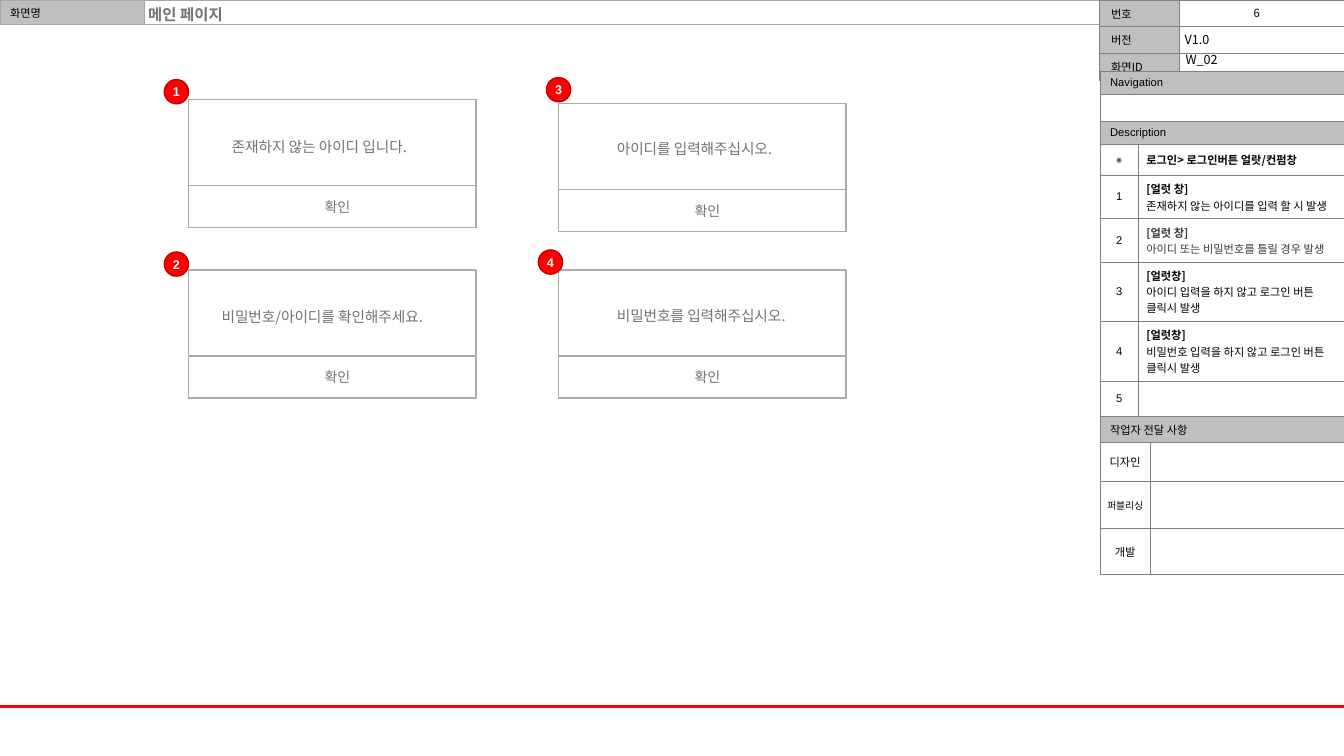
import pptx
import pptx.dml.color
import pptx.enum.shapes
import pptx.enum.text
import pptx.oxml
import pptx.oxml.ns
import pptx.util
from lxml import etree
from pptx.util import Inches

KOREAN = "Noto Sans CJK KR"
LATIN = "Arial"
GRAY, WHITE, BLACK = "BFBFBF", "FFFFFF", "000000"
BORDER, MUTED, DARK = "808080", "767171", "3B3838"
CENTER = pptx.enum.text.PP_ALIGN.CENTER
LEFT = pptx.enum.text.PP_ALIGN.LEFT
MIDDLE = pptx.enum.text.MSO_ANCHOR.MIDDLE
TOP = pptx.enum.text.MSO_ANCHOR.TOP


def color(value):
    """Turn a hex string into a colour."""
    return pptx.dml.color.RGBColor.from_string(value)


def add_child(parent, tag, **attributes):
    """Append a DrawingML element to a parent."""
    return etree.SubElement(parent, pptx.oxml.ns.qn(tag), attributes)


def style(paragraph, size, name=KOREAN, ink=BLACK, bold=False, align=LEFT):
    """Set the alignment and font of a paragraph."""
    paragraph.alignment = align
    font = paragraph.font
    font.size, font.name, font.bold = pptx.util.Pt(size), name, bold
    font.color.rgb = color(ink)


def set_insets(holder, left, top, right, bottom):
    """Set the four margins of a text frame or a cell."""
    holder.margin_left, holder.margin_right = Inches(left), Inches(right)
    holder.margin_top, holder.margin_bottom = Inches(top), Inches(bottom)


def place(shape, left, top, width, height):
    """Move and size a shape."""
    shape.left, shape.top = Inches(left), Inches(top)
    shape.width, shape.height = Inches(width), Inches(height)


def add_title(slide, text):
    """Fill the title placeholder in the header bar."""
    title = slide.shapes.title
    place(title, 1.37, 0, 1.03, 0.29)
    frame = title.text_frame
    frame.text = text
    frame.word_wrap = False
    frame.vertical_anchor = MIDDLE
    set_insets(frame, 0.1, 0.05, 0.1, 0.05)
    style(frame.paragraphs[0], 11, ink=MUTED, bold=True)


def add_label(slide, text, box, size, ink=BLACK, align=LEFT):
    """Add a one-line text box."""
    shape = slide.shapes.add_textbox(*map(Inches, box))
    frame = shape.text_frame
    frame.text = text
    frame.word_wrap = False
    frame.vertical_anchor = MIDDLE if align == CENTER else TOP
    style(frame.paragraphs[0], size, ink=ink, align=align)


def add_box(slide, kind, box, fill, line):
    """Add a preset shape without shadow."""
    shape = slide.shapes.add_shape(kind, *map(Inches, box))
    shape.shadow.inherit = False
    if fill:
        shape.fill.solid()
        shape.fill.fore_color.rgb = color(fill)
    else:
        shape.fill.background()
    shape.line.color.rgb = color(line)
    shape.line.width = pptx.util.Pt(1)
    shape.text_frame.vertical_anchor = MIDDLE
    return shape


def add_dialog(slide, left, top, message, message_box):
    """Add an alert dialog with its message and confirm button."""
    rectangle = pptx.enum.shapes.MSO_SHAPE.RECTANGLE
    add_box(slide, rectangle, (left, top, 2.85, 1.27), WHITE, "AFABAB")
    button = add_box(slide, rectangle, (left, top + 0.85, 2.85, 0.42), None, "AFABAB")
    button.text_frame.text = "확인"
    set_insets(button.text_frame, 0.2, 0.05, 0.1, 0.05)
    style(button.text_frame.paragraphs[0], 10, LATIN, MUTED, align=CENTER)
    add_label(slide, message, message_box, 10.5, MUTED)


def add_badge(slide, number, left, top):
    """Add a numbered red circle."""
    oval = pptx.enum.shapes.MSO_SHAPE.OVAL
    badge = add_box(slide, oval, (left, top, 0.24, 0.24), "FF0000", "C00000")
    badge.text_frame.text = str(number)
    set_insets(badge.text_frame, 0, 0, 0, 0)
    style(badge.text_frame.paragraphs[0], 9, LATIN, WHITE, True, CENTER)


def add_footer_line(slide):
    """Draw the red line across the foot of the slide."""
    line = slide.shapes.add_connector(
        pptx.enum.shapes.MSO_CONNECTOR.STRAIGHT, 0, Inches(7.01), Inches(13.33), Inches(7.01))
    line.line.color.rgb = color("FF0000")
    line.line.width = pptx.util.Pt(2)
    add_child(line.element.spPr, "a:effectLst")


def add_borders(cell, ink, width):
    """Draw the four borders of a cell."""
    properties = cell._tc.get_or_add_tcPr()
    for position, tag in enumerate(("a:lnL", "a:lnR", "a:lnT", "a:lnB")):
        border = add_child(properties, tag, w=str(pptx.util.Pt(width)))
        add_child(add_child(border, "a:solidFill"), "a:srgbClr", val=ink)
        properties.insert(position, border)


def add_grid(slide, left, top, columns, rows, ink, width):
    """Add a table whose cells are empty, bordered and unfilled."""
    frame = slide.shapes.add_table(
        len(rows), len(columns), Inches(left), Inches(top),
        Inches(sum(columns)), Inches(sum(rows)))
    table = frame.table
    table.first_row = table.horz_banding = False
    for column, size in zip(table.columns, columns):
        column.width = Inches(size)
    for row, size in zip(table.rows, rows):
        row.height = Inches(size)
    for cell in table.iter_cells():
        cell.fill.background()
        set_insets(cell, 0, 0, 0, 0)
        add_child(cell.text_frame.paragraphs[0]._p, "a:endParaRPr", sz="800")
        add_borders(cell, ink, width)
    return table


def fill_cell(cell, text, inset, fill=None, size=8, name=KOREAN, ink=BLACK,
              bold=False, align=LEFT, anchor=MIDDLE):
    """Write and format the text of a cell."""
    cell.text = text
    cell.vertical_anchor = anchor
    set_insets(cell, inset, 0.04, inset, 0.04)
    if fill:
        cell.fill.solid()
        cell.fill.fore_color.rgb = color(fill)
    for paragraph in cell.text_frame.paragraphs:
        style(paragraph, size, name, ink, bold, align)


def add_page_tables(slide):
    """Add the screen name bar and the page number and version table."""
    header = add_grid(slide, 0, 0, [1.43, 9.47], [0.24], "A6A6A6", 0.5)
    fill_cell(header.cell(0, 0), "화면명", 0.1, GRAY)
    info = add_grid(slide, 10.9, 0, [0.8, 1.63], [0.26, 0.27, 0.27], BORDER, 0.5)
    for row, text in enumerate(("번호", "버전", "화면ID")):
        fill_cell(info.cell(row, 0), text, 0.12, GRAY)
    fill_cell(info.cell(1, 1), "V1.0", 0.05, size=9, anchor=TOP)
    add_label(slide, "6", (12.1, 0.03, 0.73, 0.19), 8, align=CENTER)


def add_description_table(slide):
    """Add the navigation, description and handover table."""
    heights = [0.22, 0.27, 0.23, 0.31, 0.43, 0.43, 0.59, 0.59, 0.35, 0.26, 0.39, 0.46, 0.46]
    table = add_grid(slide, 10.91, 0.71, [0.38, 0.12, 1.92], heights, BORDER, 0.25)
    table.cell(1, 0).merge(table.cell(1, 2))
    for row, text, name in ((0, "Navigation", LATIN), (2, "Description", LATIN),
                            (9, "작업자 전달 사항", KOREAN)):
        table.cell(row, 0).merge(table.cell(row, 2))
        fill_cell(table.cell(row, 0), text, 0.1, GRAY, name=name)
    notes = [
        ("※", "로그인> 로그인버튼 얼랏/컨펌창", "", BLACK),
        ("1", "[얼럿 창]", "존재하지 않는 아이디를 입력 할 시 발생", BLACK),
        ("2", "[얼럿 창]", "아이디 또는 비밀번호를 틀릴 경우 발생", DARK),
        ("3", "[얼럿창]", "아이디 입력을 하지 않고 로그인 버튼 클릭시 발생", BLACK),
        ("4", "[얼럿창]", "비밀번호 입력을 하지 않고 로그인 버튼 클릭시 발생", BLACK),
        ("5", "", "", BLACK),
    ]
    for row, (mark, heading, detail, ink) in enumerate(notes, start=3):
        fill_cell(table.cell(row, 0), mark, 0.04, WHITE, name=LATIN, align=CENTER)
        note = table.cell(row, 1)
        note.merge(table.cell(row, 2))
        if heading:
            fill_cell(note, heading, 0.08, WHITE, ink=ink, bold=True)
        if detail:
            paragraph = note.text_frame.add_paragraph()
            paragraph.text = detail
            style(paragraph, 8, ink=ink)
    for row, (text, size) in enumerate((("디자인", 8), ("퍼블리싱", 7), ("개발", 8)), start=10):
        table.cell(row, 0).merge(table.cell(row, 1))
        fill_cell(table.cell(row, 0), text, 0.04, WHITE, size=size, align=CENTER)


def main():
    """Build the login alert screen specification."""
    presentation = pptx.Presentation()
    presentation.slide_width, presentation.slide_height = Inches(13.33), Inches(7.5)
    slide = presentation.slides.add_slide(presentation.slide_layouts[5])
    add_title(slide, "메인 페이지")
    add_footer_line(slide)
    add_page_tables(slide)
    add_description_table(slide)
    add_label(slide, "W_02", (11.66, 0.47, 0.52, 0.25), 9)
    dialogs = [
        (1.87, 0.99, "존재하지 않는 아이디 입니다.", (2.2, 1.32, 2.19, 0.28), (1.63, 0.79)),
        (1.87, 2.68, "비밀번호/아이디를 확인해주세요.", (2.1, 3, 2.41, 0.28), (1.63, 2.5)),
        (5.54, 1.03, "아이디를 입력해주십시오.", (6.02, 1.34, 1.91, 0.28), (5.42, 0.77)),
        (5.54, 2.68, "비밀번호를 입력해주십시오.", (6.02, 2.99, 2.05, 0.28), (5.34, 2.48)),
    ]
    for number, (left, top, message, message_box, badge) in enumerate(dialogs, start=1):
        add_dialog(slide, left, top, message, message_box)
        add_badge(slide, number, *badge)
    presentation.save("out.pptx")


if __name__ == "__main__":
    main()
